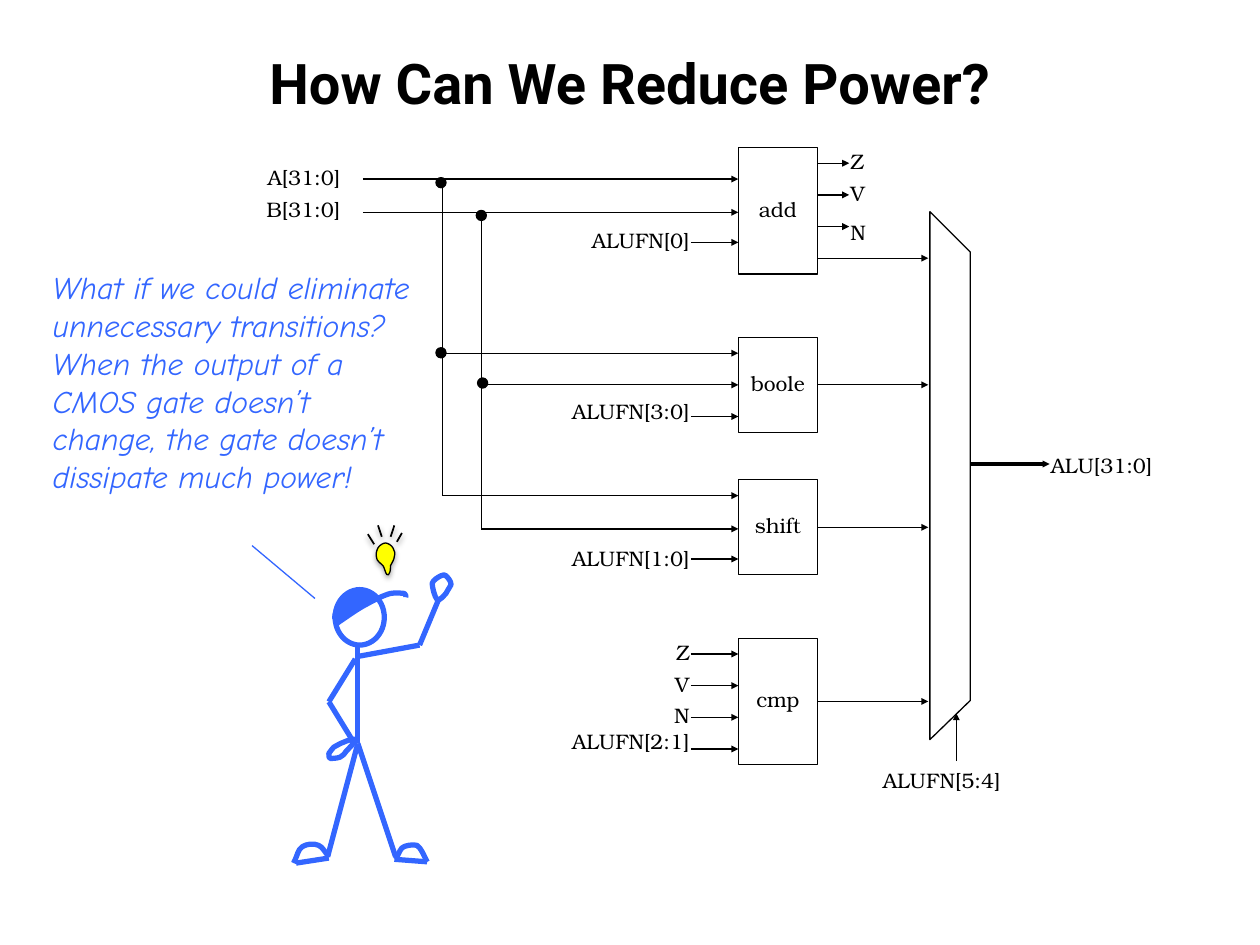
from itertools import pairwise

from lxml import etree
from pptx import Presentation
from pptx import util as u
from pptx.dml.color import RGBColor
from pptx.enum import shapes, text
from pptx.oxml.ns import qn

THEME = {
    "ink": "000000", "paper": "FFFFFF", "accent": "3366FF", "bulb": "FFFF00",
    "title": {"name": "Roboto", "size": u.Pt(32), "bold": True},
    "label": {"name": "TeX Gyre Bonum", "size": u.Pt(12)},
    "speech": {"name": "Comic Neue", "size": u.Pt(18), "italic": True},
    "thin": 0.75, "ray": 1, "bus": 2, "limb": 3,
}
TITLE = "How Can We Reduce Power?"
SPEECH = ("What if we could eliminate unnecessary transitions? When the output of a "
          "CMOS gate doesn’t change, the gate doesn’t dissipate much power!")

# Diagram grid: square cells, columns counted from the left side of the blocks
LEFT, TOP, CELL = 5.86, 1.17, 4.9 / 39
BLOCK_W, STUB, FLAG, MUX_IN = 5, -3, 7, 12
BUS_START, BUS_X = 2.88, {"A": 3.51, "B": 3.82}
MUX_L, MUX_R, OUT_X = 7.38, 7.7, 8.33

# name, first row, rows, output row, bus inputs, control inputs (label, wire row, label row)
BLOCKS = [
    ("add", 0, 8, 7, {"A": 2, "B": 4.1}, [("ALUFN[0]", 6, 5)]),
    ("boole", 12, 6, 15, {"A": 13, "B": 15}, [("ALUFN[3:0]", 17, 15.8)]),
    ("shift", 21, 6, 24, {"A": 22, "B": 24.1}, [("ALUFN[1:0]", 26, 25.1)]),
    ("cmp", 31, 8, 35, {}, [("Z", 32, 31), ("V", 34, 33), ("N", 36, 35),
                            ("ALUFN[2:1]", 38, 36.6)]),
]
FLAGS = [("Z", 1, 0), ("V", 3, 2), ("N", 5, 4.5)]
BUS_LABELS = [("A[31:0]", 1), ("B[31:0]", 3)]
DOTS = [(3.5, 1.45), (3.82, 1.71), (3.5, 2.8), (3.83, 3.04)]

# Stick figure: polylines, then curves as a start point and triples of Bezier points
LIMBS = [
    [(2.84, 5.13), (2.84, 5.9), (3.14, 6.8)],
    [(2.84, 5.9), (2.6, 6.8)],
    [(3.13, 6.82), (3.39, 6.84)],
    [(2.61, 6.81), (2.35, 6.85)],
    [(2.84, 5.21), (3.33, 5.12), (3.48, 4.76)],
    [(2.82, 5.23), (2.61, 5.57), (2.8, 5.88)],
]
RAYS = [((3.19, 4.23), (3.15, 4.3)), ((3.1, 4.26), (3.13, 4.17)),
        ((3.03, 4.26), (3, 4.17)), ((2.97, 4.32), (2.92, 4.24))]
OUTLINES = {
    "right foot": [(3.39, 6.84), (3.36, 6.78), (3.34, 6.73), (3.31, 6.71), (3.28, 6.7),
                   (3.21, 6.71), (3.19, 6.73), (3.17, 6.75), (3.15, 6.81), (3.14, 6.82)],
    "left foot": [(2.33, 6.85), (2.37, 6.77), (2.36, 6.75), (2.4, 6.72), (2.43, 6.7),
                  (2.49, 6.69), (2.53, 6.71), (2.56, 6.72), (2.59, 6.78), (2.61, 6.8)],
    "raised hand": [(3.47, 4.76), (3.45, 4.74), (3.43, 4.66), (3.43, 4.63), (3.44, 4.6),
                    (3.48, 4.58), (3.5, 4.57), (3.52, 4.56), (3.53, 4.56), (3.54, 4.57),
                    (3.55, 4.58), (3.58, 4.61), (3.58, 4.64), (3.57, 4.66), (3.55, 4.69),
                    (3.54, 4.71), (3.52, 4.73), (3.49, 4.77), (3.47, 4.76)],
    "hip hand": [(2.82, 5.87), (2.81, 5.86), (2.75, 5.88), (2.73, 5.89), (2.7, 5.9),
                 (2.67, 5.92), (2.65, 5.93), (2.63, 5.95), (2.62, 5.97), (2.61, 5.98),
                 (2.61, 6), (2.61, 6.02), (2.62, 6.02), (2.64, 6.02), (2.67, 6.02),
                 (2.7, 6.01), (2.72, 6), (2.74, 5.98), (2.75, 5.96), (2.77, 5.94),
                 (2.82, 5.89), (2.82, 5.87)],
    "cap brim": [(2.67, 4.95), (2.76, 4.89), (2.84, 4.83), (2.92, 4.79), (2.99, 4.75),
                 (3.06, 4.72), (3.1, 4.71), (3.15, 4.7), (3.19, 4.71), (3.21, 4.71),
                 (3.23, 4.72), (3.22, 4.74), (3.22, 4.74)],
}
CAP = [(2.65, 4.92), (2.63, 4.92), (2.65, 4.84), (2.67, 4.8), (2.69, 4.76), (2.74, 4.72),
       (2.78, 4.7), (2.81, 4.68), (2.86, 4.68), (2.89, 4.68), (2.92, 4.68), (2.94, 4.71),
       (2.95, 4.72), (2.96, 4.73), (2.99, 4.72), (2.97, 4.74), (2.95, 4.76), (2.88, 4.81),
       (2.83, 4.84), (2.78, 4.87), (2.68, 4.93), (2.65, 4.92)]
BULB = [(3.09, 4.55), (3.1, 4.54), (3.1, 4.51), (3.1, 4.49), (3.11, 4.47), (3.13, 4.44),
        (3.13, 4.42), (3.14, 4.39), (3.13, 4.37), (3.12, 4.35), (3.11, 4.33), (3.08, 4.31),
        (3.06, 4.31), (3.04, 4.31), (3.01, 4.33), (3, 4.35), (2.99, 4.37), (2.98, 4.4),
        (2.99, 4.43), (2.99, 4.45), (3.02, 4.47), (3.04, 4.49), (3.05, 4.5), (3.06, 4.55),
        (3.07, 4.56), (3.08, 4.57), (3.09, 4.56), (3.09, 4.55)]

prs = Presentation()
prs.slide_width, prs.slide_height = u.Inches(10), u.Inches(7.5)
s = prs.slides.add_slide(prs.slide_layouts[6])


def col(n):
    return LEFT + n * CELL


def row(n):
    return TOP + n * CELL


def rgb(key):
    return RGBColor.from_string(THEME[key])


def finish(sp, color, width, fill=None, shadow=None):
    """Set line and fill; shadow is an opacity in percent."""
    sp.line.color.rgb, sp.line.width = rgb(color), u.Pt(THEME[width])
    if fill:
        sp.fill.solid()
        sp.fill.fore_color.rgb = rgb(fill)
    elif hasattr(sp, "fill"):
        sp.fill.background()
    effects = etree.SubElement(sp._element.spPr, qn("a:effectLst"))
    if shadow:
        outer = etree.SubElement(effects, qn("a:outerShdw"), blurRad=str(u.Pt(3.1)),
                                 dist=str(u.Pt(1.7)), dir="5400000", rotWithShape="0")
        clr = etree.SubElement(outer, qn("a:srgbClr"), val=THEME["ink"])
        etree.SubElement(clr, qn("a:alpha"), val=str(shadow * 1000))
    return sp


def line(a, b, color="ink", width="thin", arrow=False, shadow=None):
    sp = s.shapes.add_connector(shapes.MSO_CONNECTOR.STRAIGHT, *map(u.Inches, (*a, *b)))
    finish(sp, color, width, shadow=shadow)
    if arrow:
        etree.SubElement(sp.line._get_or_add_ln(), qn("a:tailEnd"),
                         type="triangle", w="sm", len="sm")
    return sp


def preset(kind, x, y, w, h, *look):
    return finish(s.shapes.add_shape(kind, *map(u.Inches, (x, y, w, h))), *look)


def outline(points, *look, curved=True, shadow=None):
    """Draw a freeform; its builder needs whole numbers, so it works in 0.01 inch."""
    start, *rest = [(round(x * 100), round(y * 100)) for x, y in points]
    fb = s.shapes.build_freeform(*start, scale=u.Inches(0.01))
    fb.add_line_segments(rest, close=start == rest[-1])
    sp = fb.convert_to_shape()
    if curved:
        segments = list(sp._element.iter(qn("a:lnTo")))
        for i in range(0, len(rest), 3):
            curve = etree.Element(qn("a:cubicBezTo"))
            segments[i].addprevious(curve)
            for segment in segments[i:i + 3]:
                curve.append(segment[0])
        for segment in segments:
            segment.getparent().remove(segment)
    return finish(sp, *look, shadow=shadow)


def write(words, x, y, w, h, style="label", color="ink", align="LEFT",
          inset=(0.01, 0.01), anchor="TOP"):
    tf = s.shapes.add_textbox(*map(u.Inches, (x, y, w, h))).text_frame
    side, end = map(u.Inches, inset)
    frame = {"margin_left": side, "margin_right": side, "margin_top": end,
             "margin_bottom": end, "word_wrap": True,
             "vertical_anchor": text.MSO_ANCHOR[anchor]}
    for k, v in frame.items():
        setattr(tf, k, v)
    p = tf.paragraphs[0]
    p.alignment = text.PP_ALIGN[align]
    r = p.add_run()
    r.text = words
    for k, v in THEME[style].items():
        setattr(r.font, k, v)
    r.font.color.rgb = rgb(color)


write(TITLE, 0.5, 0.3, 9, 0.7, "title", align="CENTER", inset=(0.1, 0.05), anchor="MIDDLE")

for name, first, rows, out, buses, controls in BLOCKS:
    block = preset(shapes.MSO_SHAPE.RECTANGLE, LEFT, row(first), BLOCK_W * CELL, rows * CELL,
                   "ink", "thin")
    middle = first + rows / 2
    write(name, LEFT, row(middle - 1), BLOCK_W * CELL, 2 * CELL, align="CENTER")
    for bus, n in buses.items():
        line((BUS_START if first == 0 else BUS_X[bus], row(n)), (LEFT, row(n)), arrow=True)
    for label, n, label_row in controls:
        line((col(STUB), row(n)), (LEFT, row(n)), arrow=True)
        write(label, 4.03, row(label_row), col(STUB) - 4.03, 2 * CELL, align="RIGHT")
    wire = line((col(BLOCK_W), row(out)), (col(MUX_IN), row(out)), arrow=True)
    if out == middle:
        wire.begin_connect(block, 3)

for flag, n, label_row in FLAGS:
    line((col(BLOCK_W), row(n)), (col(FLAG), row(n)), arrow=True)
    write(flag, col(FLAG), row(label_row), 0.88, 2 * CELL)
for label, n in BUS_LABELS:
    write(label, 1.83, row(n), 0.88, 2 * CELL, align="RIGHT")
for bus, x in BUS_X.items():
    line((x, row(BLOCKS[2][4][bus])), (x, row(BLOCKS[0][4][bus])))
for x, y in DOTS:
    preset(shapes.MSO_SHAPE.OVAL, x - 0.04, y - 0.04, 0.08, 0.08, "ink", "thin", "ink")

outline([(MUX_L, 5.87), (MUX_R, 5.56), (MUX_R, 2), (MUX_L, 1.68), (MUX_L, 5.87)],
        "ink", "thin", "paper", curved=False)
line((MUX_R, row(20)), (OUT_X, row(20)), width="bus", arrow=True)
write("ALU[31:0]", OUT_X, 3.58, 1.26, 0.2)
line((7.59, 6.04), (7.59, 5.66), arrow=True)
write("ALUFN[5:4]", 6.86, 6.08, 1.09, 0.25, align="RIGHT")

write(SPEECH, 0.32, 2.08, 3.12, 2.22, "speech", "accent", inset=(0.1, 0.05))
line((2.5, 4.75), (2, 4.33), "accent")
for limb in LIMBS:
    for a, b in pairwise(limb):
        line(a, b, "accent", "limb")
preset(shapes.MSO_SHAPE.OVAL, 2.66, 4.68, 0.39, 0.44, "accent", "limb")
for points in OUTLINES.values():
    outline(points, "accent", "limb")
outline(CAP, "accent", "thin", "accent")
outline(BULB, "ink", "thin", "bulb", shadow=35)
for a, b in RAYS:
    line(a, b, width="ray", shadow=38)

prs.save("out.pptx")
